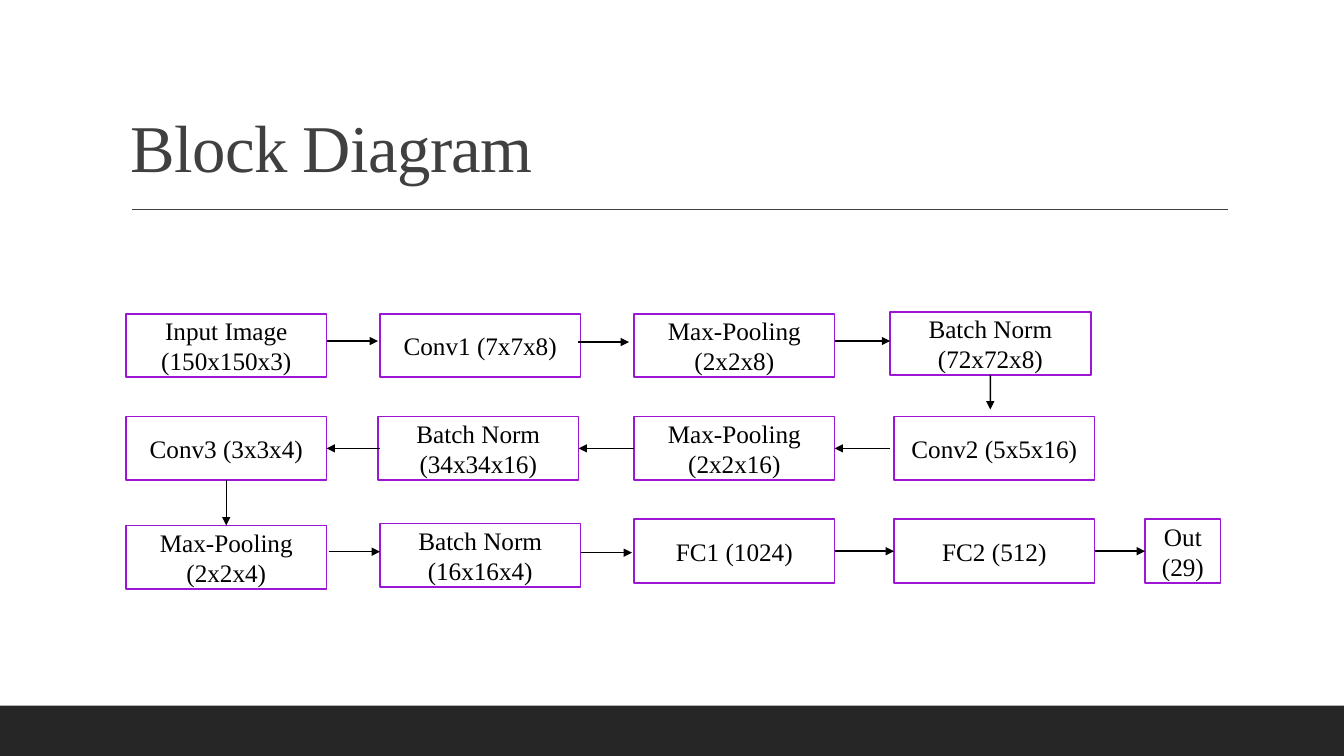
from lxml.etree import SubElement
from pptx import Presentation
from pptx.dml.color import RGBColor
from pptx.enum.shapes import MSO_CONNECTOR as CONN, MSO_SHAPE as SHAPE
from pptx.enum.text import MSO_ANCHOR as ANCHOR, PP_ALIGN as ALIGN
from pptx.oxml.ns import qn
from pptx.util import Pt

W, H = 960, 540
FONT = "Times New Roman"
COLORS = {
    "dark": "262626",
    "title": "404040",
    "white": "FFFFFF",
    "purple": "9C17D5",
    "black": "000000",
}
TOP, LEFT, BOTTOM, RIGHT = range(4)
BLOCK_W, BLOCK_H, OUT_W = 143.3, 45.4, 54

# key: label, left, top, width (within the diagram)
BLOCKS = {
    "input": ("Input Image (150x150x3)", 0, 1.4, BLOCK_W),
    "conv1": ("Conv1 (7x7x8)", 181.4, 1.4, BLOCK_W),
    "pool1": ("Max-Pooling (2x2x8)", 362.9, 1.4, BLOCK_W),
    "norm1": ("Batch Norm (72x72x8)", 545.8, 0, BLOCK_W),
    "conv2": ("Conv2 (5x5x16)", 548.6, 74.9, BLOCK_W),
    "pool2": ("Max-Pooling (2x2x16)", 362.9, 74.9, BLOCK_W),
    "norm2": ("Batch Norm (34x34x16)", 180, 74.9, BLOCK_W),
    "conv3": ("Conv3 (3x3x4)", 0, 74.9, BLOCK_W),
    "pool3": ("Max-Pooling (2x2x4)", 0, 152.6, BLOCK_W),
    "norm3": ("Batch Norm (16x16x4)", 181.4, 151.2, BLOCK_W),
    "fc1": ("FC1 (1024)", 362.9, 148.3, BLOCK_W),
    "fc2": ("FC2 (512)", 548.6, 148.3, BLOCK_W),
    "out": ("Out (29)", 727.9, 148.3, OUT_W),
}

# each end is a block side (key, side) or a free point (x, y)
ARROWS = [
    ((143.3, 20.9), (180, 20.9)),
    ((322.6, 21.6), (359.3, 21.6)),
    ((506.2, 20.9), (545.8, 20.9)),
    (("norm1", BOTTOM), (617.4, 69.8)),
    ((545.8, 97.6), ("pool2", RIGHT)),
    (("pool2", LEFT), ("norm2", RIGHT)),
    ((181.4, 97.6), ("conv3", RIGHT)),
    (("conv3", BOTTOM), ("pool3", TOP)),
    ((144.7, 171.4), (181.4, 171.4)),
    ((324.7, 172.1), (361.4, 172.1)),
    (("fc1", RIGHT), ("fc2", LEFT)),
    (("fc2", RIGHT), ("out", LEFT)),
]


def rgb(name):
    return RGBColor.from_string(COLORS[name])


def add_run(p, text, size, color):
    r = p.add_run()
    r.text = text
    r.font.name, r.font.size = FONT, Pt(size)
    r.font.color.rgb = rgb(color)
    return r


def add_rect(s, x, y, w, h, fill, line=None):
    sp = s.shapes.add_shape(SHAPE.RECTANGLE, Pt(x), Pt(y), Pt(w), Pt(h))
    sp.shadow.inherit = False
    sp.fill.solid()
    sp.fill.fore_color.rgb = rgb(fill)
    if line:
        sp.line.color.rgb = rgb(line)
        sp.line.width = Pt(1.25)
    else:
        sp.line.fill.background()
    return sp


def add_line(s, x1, y1, x2, y2, color):
    c = s.shapes.add_connector(CONN.STRAIGHT, Pt(x1), Pt(y1), Pt(x2), Pt(y2))
    c.line.color.rgb = rgb(color)
    c.line.width = Pt(1)
    SubElement(c._element.spPr, qn("a:effectLst"))
    return c


def add_footer(s, x, y, w, h):
    add_rect(s, x, y, w, h, "dark")


def add_title(s, x, y, w, h):
    # Rule below the title
    add_line(s, x + 7.9, y + h + 13, x + w - 0.9, y + h + 13, "title")
    # Title text
    tf = s.shapes.add_textbox(Pt(x), Pt(y), Pt(w), Pt(h)).text_frame
    tf.word_wrap = True
    tf.vertical_anchor = ANCHOR.BOTTOM
    p = tf.paragraphs[0]
    p.line_spacing = 0.9
    r = add_run(p, "Block Diagram", 47.7, "title")
    r.font._element.set("spc", "-50")


def add_block(s, x, y, w, h, label):
    sp = add_rect(s, x, y, w, h, "white", "purple")
    tf = sp.text_frame
    tf.word_wrap = True
    tf.vertical_anchor = ANCHOR.MIDDLE
    p = tf.paragraphs[0]
    p.alignment = ALIGN.CENTER
    add_run(p, label, 18, "black")
    return sp


def add_arrow(s, x, y, start, end, blocks):
    def joined(point):
        return point[0] in blocks

    def free(point):
        return (x, y) if joined(point) else (x + point[0], y + point[1])

    c = add_line(s, *free(start), *free(end), "black")
    if joined(start):
        c.begin_connect(blocks[start[0]], start[1])
    if joined(end):
        c.end_connect(blocks[end[0]], end[1])
    SubElement(c.line._get_or_add_ln(), qn("a:tailEnd"), type="triangle")


def add_diagram(s, x, y):
    # Network layers
    blocks = {
        key: add_block(s, x + left, y + top, w, BLOCK_H, label)
        for key, (label, left, top, w) in BLOCKS.items()
    }
    # Data flow
    for start, end in ARROWS:
        add_arrow(s, x, y, start, end, blocks)


def main():
    prs = Presentation()
    prs.slide_width, prs.slide_height = Pt(W), Pt(H)
    s = prs.slides.add_slide(prs.slide_layouts[6])
    add_footer(s, 0, 504, W, 36)
    add_title(s, 86.4, 22.6, 792, 114.2)
    add_diagram(s, 90, 222.7)
    prs.save("out.pptx")


if __name__ == "__main__":
    main()
